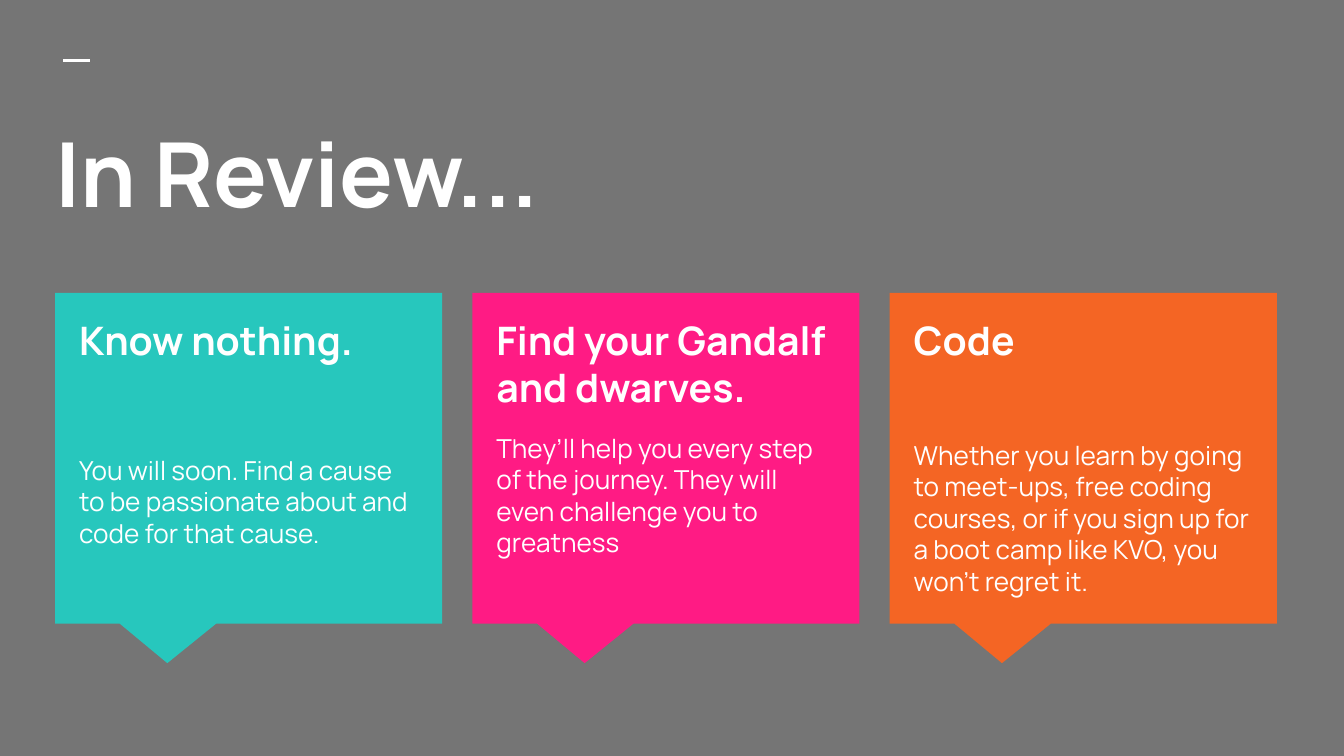
from dataclasses import dataclass

from lxml import etree
from pptx import Presentation
from pptx.dml.color import RGBColor
from pptx.enum import shapes, text
from pptx.oxml import ns
from pptx.util import Inches, Pt


@dataclass(frozen=True)
class Theme:
    font: str = "Manrope"
    background: str = "757575"
    ink: str = "FFFFFF"
    teal: str = "27C7BD"
    pink: str = "FF1B84"
    orange: str = "F46524"
    title_size: int = 48
    heading_size: int = 21
    body_size: int = 14


def write(para, words, *, font, size, color, bold=False, after=0):
    para.alignment = text.PP_ALIGN.LEFT
    para.space_after = Pt(after)
    span = para.add_run()
    span.text = words
    span.font.name = font
    span.font.size = Pt(size)
    span.font.bold = bold
    span.font.color.rgb = RGBColor.from_string(color)


class SlideBuilder:
    def __init__(self, page, theme):
        self.page = page
        self.theme = theme
        fill = page.background.fill
        fill.solid()
        fill.fore_color.rgb = RGBColor.from_string(theme.background)

    def frame(self, box):
        frame = box.text_frame
        frame.word_wrap = True
        frame.auto_size = text.MSO_AUTO_SIZE.NONE
        frame.vertical_anchor = text.MSO_ANCHOR.TOP
        frame.margin_left = frame.margin_right = Inches(0.1)
        frame.margin_top = frame.margin_bottom = Inches(0.1)
        return frame

    def accent(self, left, top, width):
        line = self.page.shapes.add_connector(
            shapes.MSO_CONNECTOR.STRAIGHT,
            Inches(left), Inches(top), Inches(left + width), Inches(top),
        )
        line.line.color.rgb = RGBColor.from_string(self.theme.ink)
        line.line.width = Pt(1.5)
        etree.SubElement(line._element.spPr, ns.qn("a:effectLst"))

    def title(self, words, left, top, width, height):
        box = self.page.shapes.title
        box.left, box.top = Inches(left), Inches(top)
        box.width, box.height = Inches(width), Inches(height)
        write(self.frame(box).paragraphs[0], words, font=self.theme.font,
              size=self.theme.title_size, color=self.theme.ink, bold=True)

    def callout(self, color, left, top, width, height):
        box = self.page.shapes.add_shape(
            shapes.MSO_SHAPE.RECTANGULAR_CALLOUT,
            Inches(left), Inches(top), Inches(width), Inches(height),
        )
        box.adjustments[0] = -0.21
        box.adjustments[1] = 0.62
        box.shadow.inherit = False
        box.fill.solid()
        box.fill.fore_color.rgb = RGBColor.from_string(color)
        box.line.fill.background()

    def message(self, heading, body, gap, left, top, width, height):
        box = self.page.shapes.add_textbox(
            Inches(left), Inches(top), Inches(width), Inches(height)
        )
        frame = self.frame(box)
        theme = self.theme
        write(frame.paragraphs[0], heading, font=theme.font,
              size=theme.heading_size, color=theme.ink, bold=True, after=gap)
        write(frame.add_paragraph(), body, font=theme.font,
              size=theme.body_size, color=theme.ink, after=12)


def main():
    theme = Theme()
    deck = Presentation()
    deck.slide_width, deck.slide_height = Inches(10), Inches(10 * 9 / 16)
    builder = SlideBuilder(deck.slides.add_slide(deck.slide_layouts[5]), theme)

    builder.accent(0.47, 0.45, 0.2)
    builder.title("In Review...", 0.31, 0.78, 9.43, 1.12)

    cards = [
        (theme.teal, "Know nothing.",
         "You will soon. Find a cause to be passionate about and code for that cause.", 49),
        (theme.pink, "Find your Gandalf and dwarves.",
         "They’ll help you every step of the journey. They will even challenge you to greatness", 12),
        (theme.orange, "Code",
         "Whether you learn by going to meet-ups, free coding courses, or if you sign up for "
         "a boot camp like KVO, you won’t regret it.", 41),
    ]
    first, last, width = 0.41, 9.5, 2.88
    pitch = (last - first - width) / (len(cards) - 1)
    for index, (color, heading, body, gap) in enumerate(cards):
        left = first + index * pitch
        builder.callout(color, left, 2.18, width, 2.46)
        builder.message(heading, body, gap, left + 0.08, 2.25, 2.71, 2.19)

    deck.save("out.pptx")


if __name__ == "__main__":
    main()
